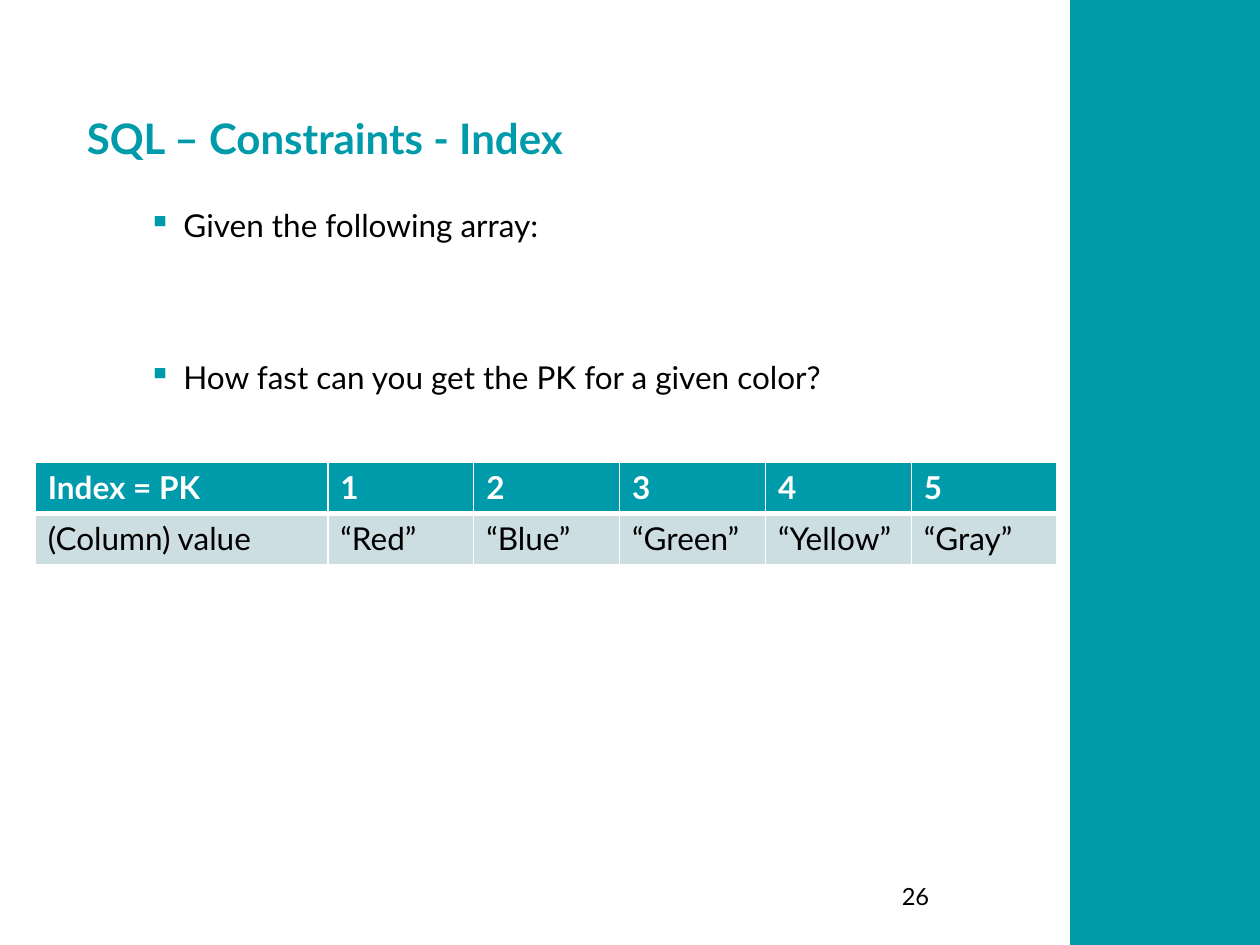
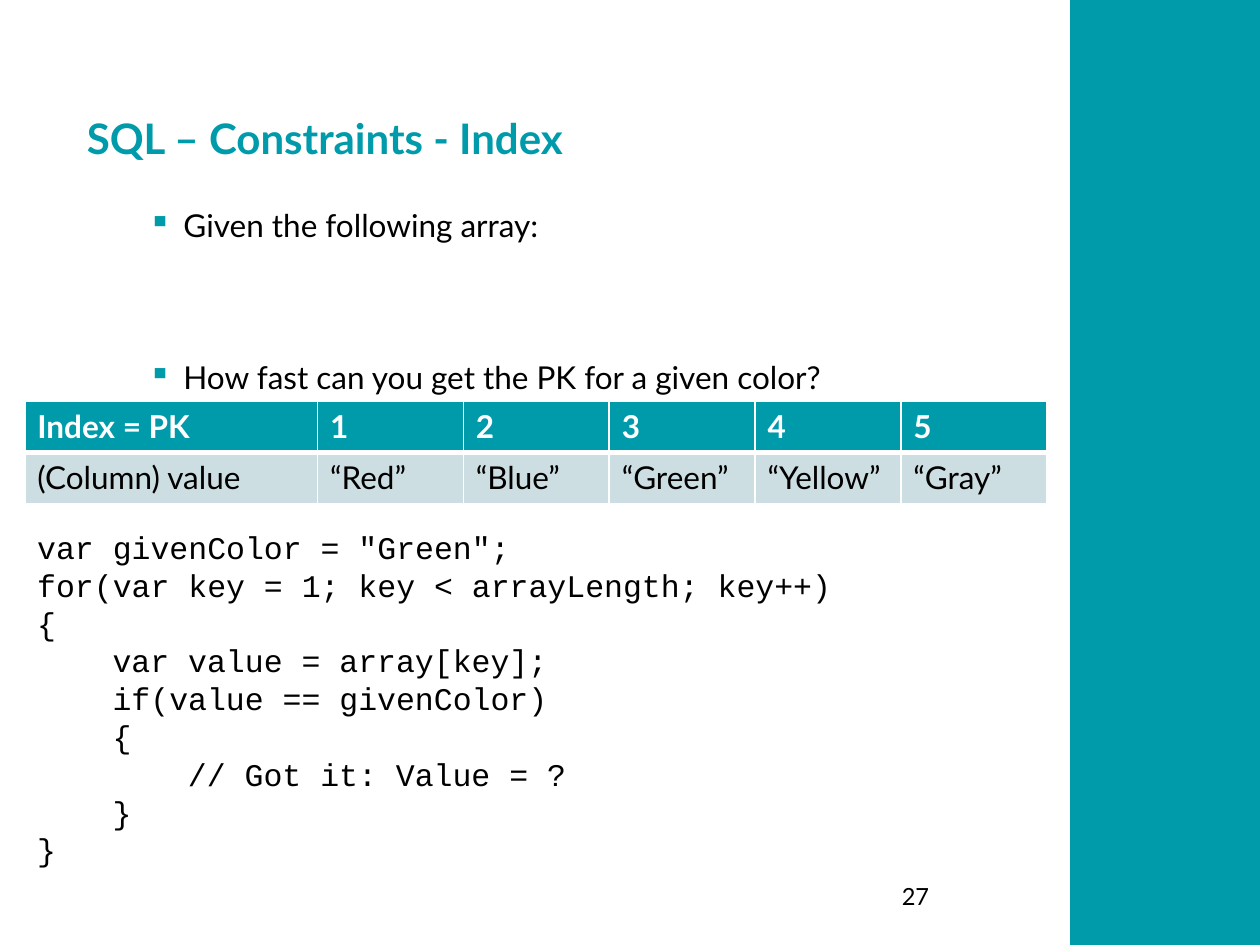
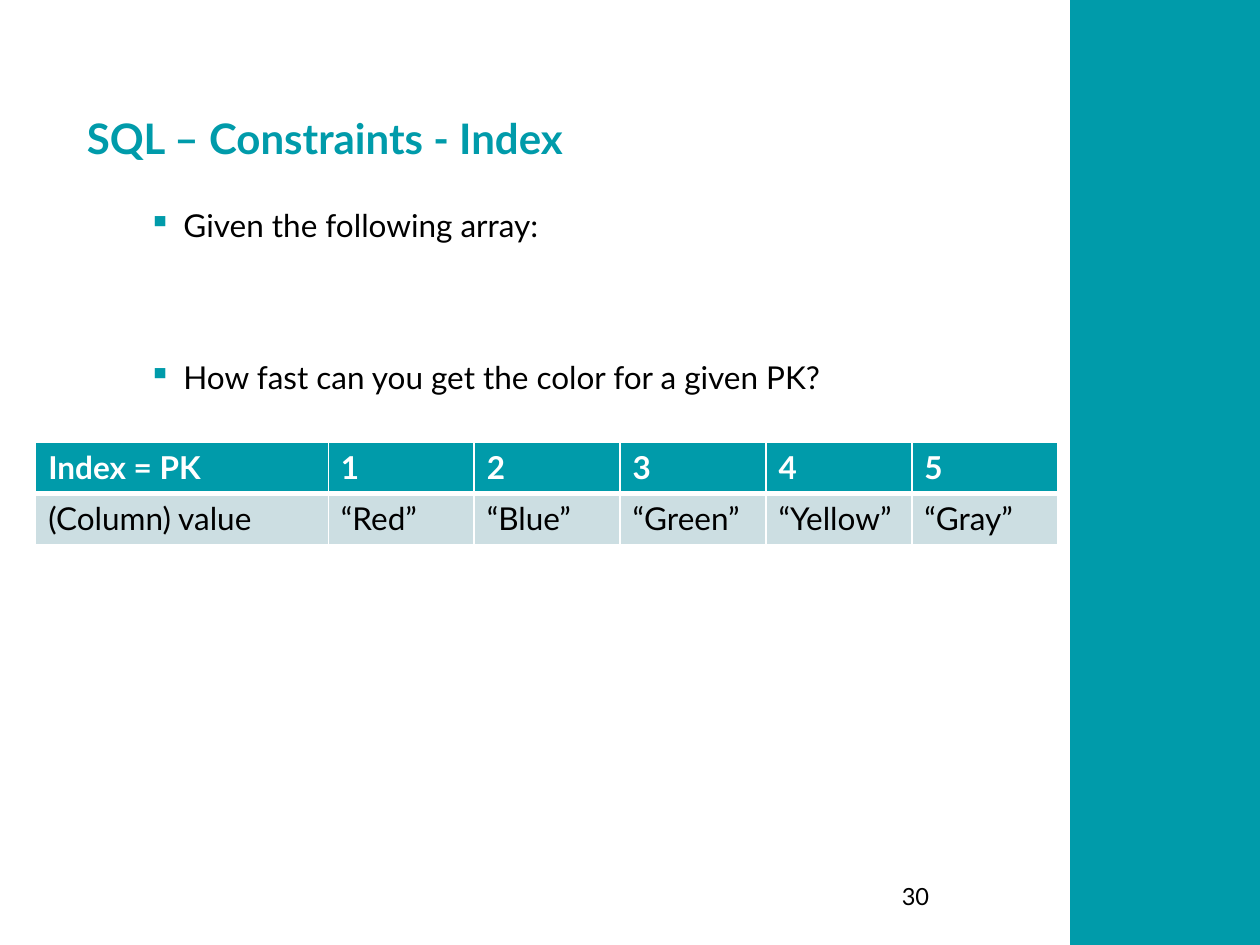
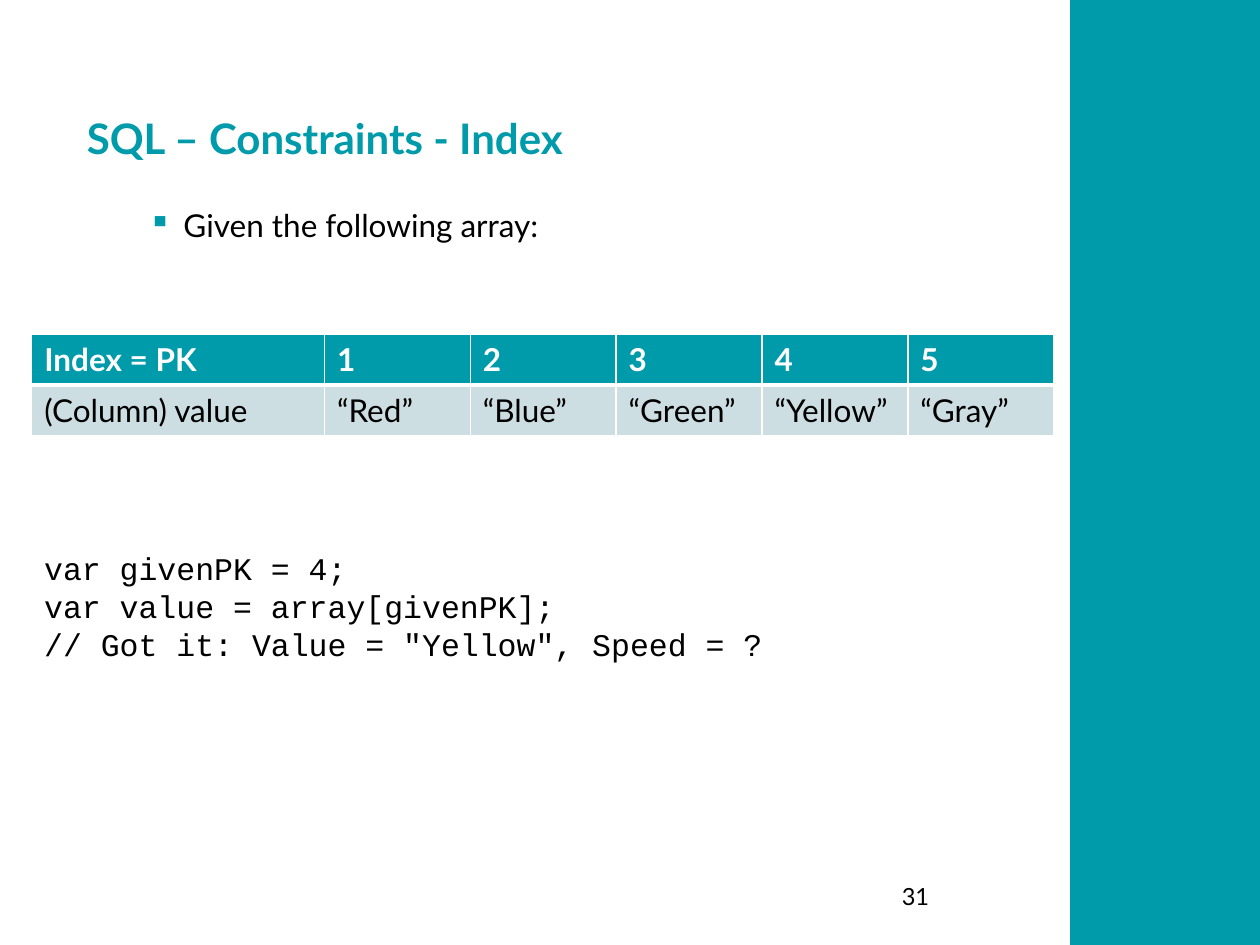
import lxml.etree
import pptx
import pptx.dml.color
import pptx.enum.shapes
import pptx.enum.text
import pptx.oxml.ns
import pptx.util

Cm = pptx.util.Cm
Pt = pptx.util.Pt
RGBColor = pptx.dml.color.RGBColor
qn = pptx.oxml.ns.qn

TEAL = RGBColor(0x00, 0x9B, 0xAA)
PALE = RGBColor(0xCC, 0xDE, 0xE2)
BLACK = RGBColor(0x00, 0x00, 0x00)
WHITE = RGBColor(0xFF, 0xFF, 0xFF)
TEXT_FONT = "Lato"
CODE_FONT = "Courier New"

TITLE = "SQL – Constraints - Index"
GIVEN = "Given the following array:"
ASK_KEY = "How fast can you get the PK for a given color?"
ASK_COLOR = "How fast can you get the color for a given PK?"
ARRAY_ROWS = [
    ["Index = PK", "1", "2", "3", "4", "5"],
    ["(Column) value", "“Red”", "“Blue”", "“Green”", "“Yellow”", "“Gray”"],
]
SEARCH_CODE = [
    (0, 'var givenColor = "Green";'),
    (0, "for(var key = 1; key < arrayLength; key++)"),
    (0, "{"),
    (1, "var value = array[key];"),
    (1, "if(value == givenColor)"),
    (1, "{"),
    (2, "// Got it: Value = ?"),
    (1, "}"),
    (0, "}"),
]
LOOKUP_CODE = [
    (0, "var givenPK = 4;"),
    (0, "var value = array[givenPK];"),
    (0, '// Got it: Value = "Yellow", Speed = ?'),
]


class Deck:
    """Holds the presentation, its style and the current slide."""

    def __init__(self):
        self.presentation = pptx.Presentation()
        self.presentation.slide_width = Cm(25.4)
        self.presentation.slide_height = Cm(19.05)
        self.slide = None

    def add_slide(self, number, bullets):
        self.slide = self.presentation.slides.add_slide(self.presentation.slide_layouts[6])
        self.band()
        self.title()
        self.bullets(bullets)
        frame = self.text_frame(17.93, 17.65, 3.38, 1.02)
        self.set_text(frame.paragraphs[0], str(number), 13.5)

    def band(self):
        band = self.slide.shapes.add_shape(
            pptx.enum.shapes.MSO_SHAPE.RECTANGLE, Cm(21.59), 0, Cm(3.81), Cm(19.05))
        band.shadow.inherit = False
        band.fill.solid()
        band.fill.fore_color.rgb = TEAL
        band.line.color.rgb = TEAL
        band.line.width = Pt(1)

    def title(self):
        frame = self.text_frame(1.5, 1.93, 21.79, 1.83)
        frame.vertical_anchor = pptx.enum.text.MSO_ANCHOR.MIDDLE
        paragraph = frame.paragraphs[0]
        paragraph.line_spacing = 0.9
        self.set_text(paragraph, TITLE, 24, TEAL, bold=True)

    def bullets(self, texts):
        frame = self.text_frame(2.74, 4.11, 21.79, 10.8)
        for index, text in enumerate(texts):
            paragraph = self.next_paragraph(frame, index)
            paragraph.line_spacing = 0.9
            paragraph.space_before = Pt(67.5 if index else 7.5)
            properties = paragraph._p.get_or_add_pPr()
            properties.set("marL", str(Cm(0.71)))
            properties.set("indent", str(-Cm(0.71)))
            color = lxml.etree.SubElement(properties, qn("a:buClr"))
            lxml.etree.SubElement(color, qn("a:srgbClr"), val=str(TEAL))
            lxml.etree.SubElement(properties, qn("a:buChar"), char="▪")
            self.set_text(paragraph, text)

    def array_table(self, left, top):
        table = self.slide.shapes.add_table(
            len(ARRAY_ROWS), len(ARRAY_ROWS[0]), Cm(left), Cm(top), Cm(20.6), Cm(2.06)).table
        for index, column in enumerate(table.columns):
            column.width = Cm(2.94 if index else 5.9)
        for row_index, texts in enumerate(ARRAY_ROWS):
            header = row_index == 0
            table.rows[row_index].height = Cm(1.03)
            for column_index, text in enumerate(texts):
                cell = table.cell(row_index, column_index)
                self.borders(cell, top=1 if header else 3, bottom=3 if header else 1)
                cell.fill.solid()
                cell.fill.fore_color.rgb = TEAL if header else PALE
                self.set_text(cell.text_frame.paragraphs[0], text,
                              color=WHITE if header else BLACK, bold=header)

    def code(self, left, top, height, lines):
        frame = self.text_frame(left, top, 20.6, height, WHITE)
        for index, (depth, text) in enumerate(lines):
            paragraph = self.next_paragraph(frame, index)
            if depth:
                properties = paragraph._p.get_or_add_pPr()
                properties.set("marL", str(depth * Cm(1.52)))
                properties.set("indent", "0")
            self.set_text(paragraph, text, font_name=CODE_FONT)

    def text_frame(self, left, top, width, height, fill=None):
        box = self.slide.shapes.add_textbox(Cm(left), Cm(top), Cm(width), Cm(height))
        if fill is not None:
            box.fill.solid()
            box.fill.fore_color.rgb = fill
        box.text_frame.word_wrap = True
        return box.text_frame

    @staticmethod
    def next_paragraph(frame, index):
        return frame.add_paragraph() if index else frame.paragraphs[0]

    @staticmethod
    def set_text(paragraph, text, size=18, color=BLACK, bold=False, font_name=TEXT_FONT):
        paragraph.text = text
        font = paragraph.font
        font.name = font_name
        font.size = Pt(size)
        font.bold = bold
        font.color.rgb = color

    @staticmethod
    def borders(cell, top, bottom):
        properties = cell._tc.get_or_add_tcPr()
        for side, width in (("L", 1), ("R", 1), ("T", top), ("B", bottom)):
            line = lxml.etree.SubElement(properties, qn(f"a:ln{side}"), w=str(Pt(width)))
            fill = lxml.etree.SubElement(line, qn("a:solidFill"))
            lxml.etree.SubElement(fill, qn("a:srgbClr"), val=str(WHITE))


def main():
    deck = Deck()

    deck.add_slide(26, [GIVEN, ASK_KEY])
    deck.array_table(0.71, 9.32)

    deck.add_slide(27, [GIVEN, ASK_KEY])
    deck.array_table(0.5, 8.09)
    deck.code(0.5, 10.52, 7.19, SEARCH_CODE)

    deck.add_slide(30, [GIVEN, ASK_COLOR])
    deck.array_table(0.72, 8.92)

    deck.add_slide(31, [GIVEN])
    deck.array_table(0.64, 6.73)
    deck.code(0.64, 10.95, 2.57, LOOKUP_CODE)

    deck.presentation.save("out.pptx")


if __name__ == "__main__":
    main()
